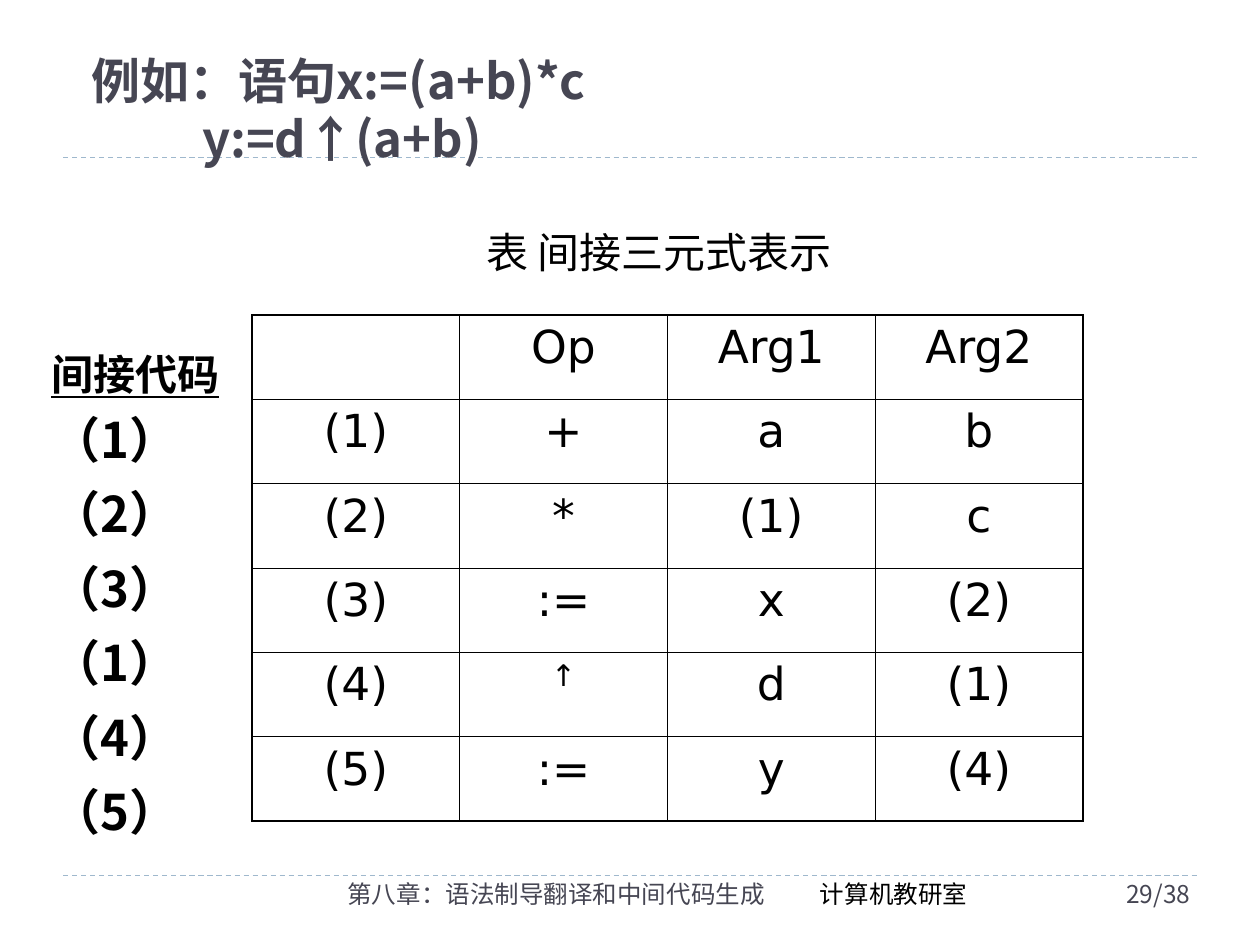
import pptx
import pptx.dml.color
import pptx.enum.dml
import pptx.enum.shapes
import pptx.enum.text
import pptx.oxml.ns
import pptx.util
from lxml import etree

Pt = pptx.util.Pt
ALIGN = pptx.enum.text.PP_ALIGN
ANCHOR = pptx.enum.text.MSO_ANCHOR

# Content
TITLE = ["例如：语句x:=(a+b)*c", "y:=d↑(a+b)"]
CAPTION = "表 间接三元式表示"
CODE_HEADING = "间接代码"
CODE_ORDER = [1, 2, 3, 1, 4, 5]
TRIPLES = [
    ("", "Op", "Arg1", "Arg2"),
    ("(1)", "+", "a", "b"),
    ("(2)", "*", "(1)", "c"),
    ("(3)", ":=", "x", "(2)"),
    ("(4)", "↑", "d", "(1)"),
    ("(5)", ":=", "y", "(4)"),
]
# text, left, width, height, alignment, colour
FOOTERS = [
    ("第八章：语法制导翻译和中间代码生成", 168.5, 275.8, 28.8, ALIGN.RIGHT, "slate"),
    ("29/38", 636.5, 77.8, 28.8, ALIGN.LEFT, "slate"),
    ("计算机教研室", 461.5, 119.5, 24.5, ALIGN.LEFT, "black"),
]

# Style
COLORS = {"slate": "464653", "black": "000000", "rule": "9FB8CD"}
SANS, FOOTER_FONT, TABLE_FONT = "Noto Sans CJK SC", "Noto Sans CJK JP", "DejaVu Sans"
LINE_RATIO = 1.2
THICK, THIN = 1.08, 0.45
COLUMN_WIDTH, ROW_HEIGHT = 118.7, 48.2


def color(name):
    return pptx.dml.color.RGBColor.from_string(COLORS[name])


def set_font(paragraph, size, name, color_name="black", bold=False, east_asian=None):
    font = paragraph.font
    font.size, font.name, font.bold = Pt(size), name, bold
    font.color.rgb = color(color_name)
    east = etree.SubElement(font._element, pptx.oxml.ns.qn("a:ea"))
    east.set("typeface", east_asian or name)


def add_text(slide, box, lines, size, name, color_name="black", bold=False,
             align=ALIGN.LEFT, wrap=True, east_asian=None):
    shape = slide.shapes.add_textbox(*map(Pt, box))
    frame = shape.text_frame
    frame.word_wrap = wrap
    frame.text = "\n".join(lines)
    for paragraph in frame.paragraphs:
        paragraph.alignment = align
        paragraph.line_spacing = Pt(round(size * LINE_RATIO, 1))
        set_font(paragraph, size, name, color_name, bold, east_asian)
    return frame


def add_rule(slide, y):
    line = slide.shapes.add_connector(
        pptx.enum.shapes.MSO_CONNECTOR.STRAIGHT, Pt(36), Pt(y), Pt(684), Pt(y))
    line.line.color.rgb = color("rule")
    line.line.width = Pt(0.75)
    line.line.dash_style = pptx.enum.dml.MSO_LINE.DASH
    etree.SubElement(line._element.spPr, pptx.oxml.ns.qn("a:effectLst"))


def set_borders(cell, widths):
    properties = cell._tc.get_or_add_tcPr()
    for index, (side, width) in enumerate(widths.items()):
        border = etree.Element(pptx.oxml.ns.qn("a:ln" + side), w=str(Pt(width)))
        fill = etree.SubElement(border, pptx.oxml.ns.qn("a:solidFill"))
        etree.SubElement(fill, pptx.oxml.ns.qn("a:srgbClr"), val=COLORS["black"])
        properties.insert(index, border)


def add_triples(slide):
    rows, columns = len(TRIPLES), len(TRIPLES[0])
    table = slide.shapes.add_table(
        rows, columns, Pt(144), Pt(180),
        Pt(COLUMN_WIDTH * columns), Pt(ROW_HEIGHT * rows)).table
    table.first_row = table.horz_banding = False
    for column in table.columns:
        column.width = Pt(COLUMN_WIDTH)
    for r, values in enumerate(TRIPLES):
        table.rows[r].height = Pt(ROW_HEIGHT)
        for c, value in enumerate(values):
            cell = table.cell(r, c)
            cell.fill.background()
            set_borders(cell, {
                "L": THICK if c == 0 else THIN,
                "R": THICK if c == columns - 1 else THIN,
                "T": THICK if r == 0 else THIN,
                "B": THICK if r == rows - 1 else THIN,
            })
            cell.text = value
            paragraph = cell.text_frame.paragraphs[0]
            paragraph.alignment = ALIGN.CENTER
            size = 17 if value == "↑" else 26
            paragraph.space_before = Pt(size / 4)
            set_font(paragraph, size, TABLE_FONT)


def main():
    presentation = pptx.Presentation()
    presentation.slide_width, presentation.slide_height = Pt(720), Pt(540)
    slide = presentation.slides.add_slide(presentation.slide_layouts[6])

    # Rules and footer
    for y in (90, 500.4):
        add_rule(slide, y)
    for text, left, width, height, align, color_name in FOOTERS:
        add_text(slide, (left, 499, width, height), [text], 14, FOOTER_FONT,
                 color_name, align=align)

    # Title, second statement indented
    title = add_text(slide, (45.4, 5.8, 612, 90), TITLE, 28, SANS, "slate", bold=True)
    title.vertical_anchor = ANCHOR.BOTTOM
    title.margin_bottom = 0
    title.paragraphs[1]._p.get_or_add_pPr().set("marL", str(Pt(63)))

    # Indirect code list
    steps = [f"（{number}）" for number in CODE_ORDER]
    code = add_text(slide, (22.3, 195.5, 120.2, 294), [CODE_HEADING] + steps,
                    28, SANS, bold=True)
    heading, *items = code.paragraphs
    heading.font.size, heading.font.underline = Pt(24), True
    heading.line_spacing = Pt(24 * LINE_RATIO)
    for paragraph in items:
        paragraph.space_before, paragraph.space_after = Pt(6), Pt(3)

    # Table and caption
    add_triples(slide)
    add_text(slide, (270.7, 126, 211.7, 36), [CAPTION], 24, "Times New Roman",
             align=ALIGN.CENTER, wrap=False, east_asian=SANS)

    presentation.save("out.pptx")


if __name__ == "__main__":
    main()
